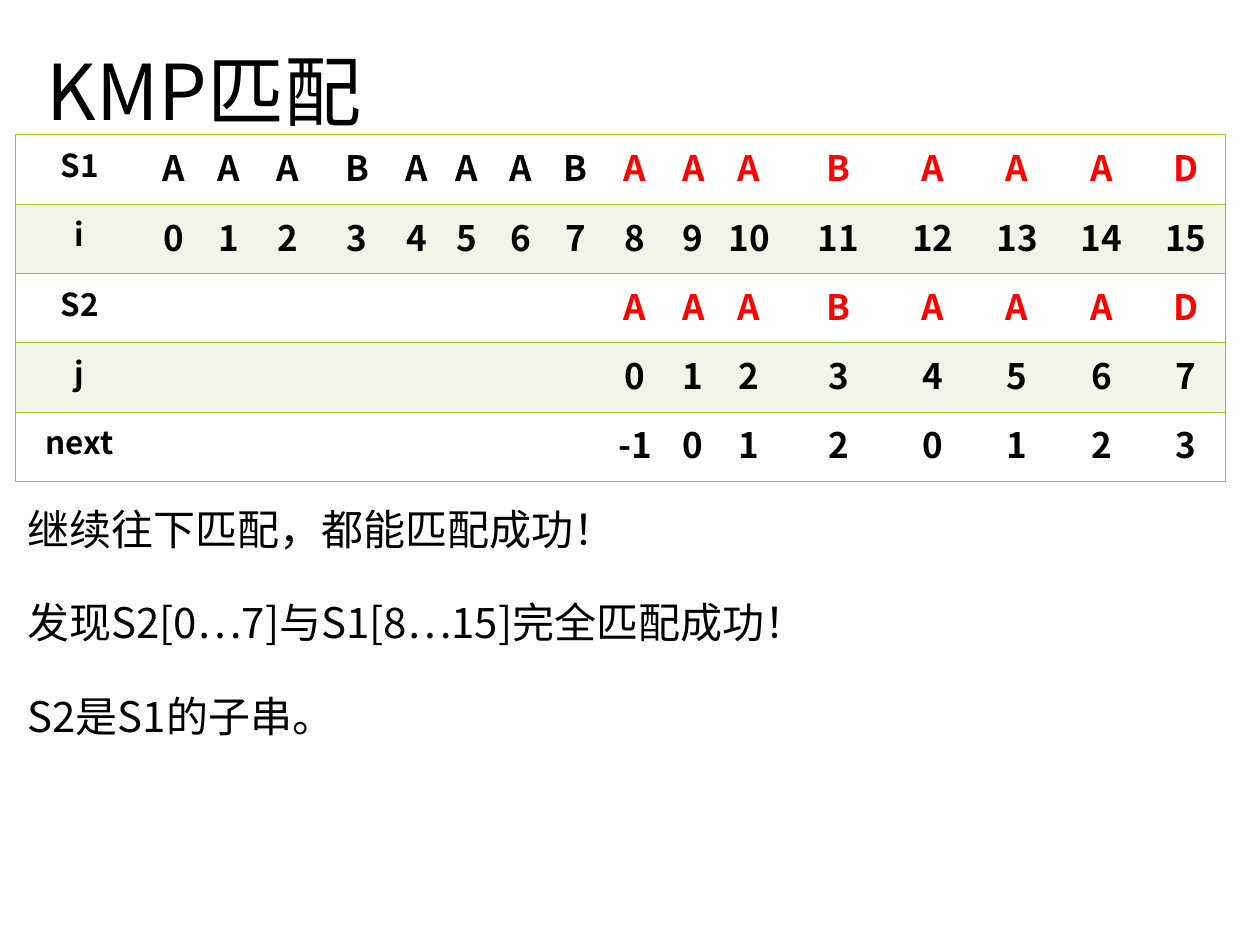
from dataclasses import dataclass

import pptx
import pptx.dml.color
import pptx.enum.text
import pptx.oxml
import pptx.oxml.ns
import pptx.util

FONT = "Noto Sans CJK SC"
BLACK, RED, WHITE = "000000", "FF0000", "FFFFFF"
BAND, BORDER = "F0F5E8", "A2C722"
MATCH_START = 8
POINTS_PER_MM = 72 / 25.4
COLUMNS_MM = [26, 12, 10, 14, 14, 10, 10, 12, 10, 14, 8, 16, 20, 18, 16, 18, 16]
ROW_HEIGHT = 39.6


@dataclass
class Box:
    left: float
    top: float
    width: float
    height: float

    def lengths(self) -> list[int]:
        return [pptx.util.Pt(value) for value in (self.left, self.top, self.width, self.height)]


@dataclass
class TableRow:
    label: str
    values: list[str]
    match_color: str = BLACK
    first_position: int = MATCH_START


@dataclass
class Line:
    text: str
    spacing: float
    space_before: float


TITLE_BOX = Box(19.4, 2.2, 620.6, 104.4)
TABLE_BOX = Box(8.6, 77, sum(COLUMNS_MM) * POINTS_PER_MM, 5 * ROW_HEIGHT)
BODY_BOX = Box(8.6, 287.3, 692, 177.8)

ROWS = [
    TableRow("S1", list("AAABAAABAAABAAAD"), RED, 0),
    TableRow("i", [str(index) for index in range(16)], BLACK, 0),
    TableRow("S2", list("AAABAAAD"), RED),
    TableRow("j", [str(index) for index in range(8)]),
    TableRow("next", ["-1", "0", "1", "2", "0", "1", "2", "3"]),
]
BODY_LINES = [
    Line("继续往下匹配，都能匹配成功！", 0.9, 0),
    Line("发现S2[0…7]与S1[8…15]完全匹配成功！", 1.5, 10),
    Line("S2是S1的子串。", 1.5, 10),
]


def rgb(value: str) -> pptx.dml.color.RGBColor:
    return pptx.dml.color.RGBColor.from_string(value)


def set_attributes(target, values: dict) -> None:
    for name, value in values.items():
        setattr(target, name, value)


def write_text(paragraph, text: str, size: float, color: str = BLACK, bold: bool = False, **layout) -> None:
    set_attributes(paragraph, layout)
    run = paragraph.add_run()
    run.text = text
    set_attributes(run.font, {"name": FONT, "size": pptx.util.Pt(size), "bold": bold})
    run.font.color.rgb = rgb(color)
    east_asian = pptx.oxml.parse_xml(
        f'<a:ea {pptx.oxml.ns.nsdecls("a")} typeface="{FONT}"/>')
    run.font._element.find(pptx.oxml.ns.qn("a:latin")).addnext(east_asian)


def set_borders(cell, visible_sides: str) -> None:
    properties = cell._tc.get_or_add_tcPr()
    width = pptx.util.Pt(0.45)
    for index, side in enumerate("LRTB"):
        paint = "<a:noFill/>"
        if side in visible_sides:
            paint = f'<a:solidFill><a:srgbClr val="{BORDER}"/></a:solidFill>'
        line = f'<a:ln{side} {pptx.oxml.ns.nsdecls("a")} w="{width}">{paint}</a:ln{side}>'
        properties.insert(index, pptx.oxml.parse_xml(line))


def add_title(slide) -> None:
    title = slide.shapes.title
    set_attributes(title, dict(zip(("left", "top", "width", "height"), TITLE_BOX.lengths())))
    set_attributes(title.text_frame, {
        "word_wrap": True,
        "auto_size": pptx.enum.text.MSO_AUTO_SIZE.NONE,
        "vertical_anchor": pptx.enum.text.MSO_ANCHOR.MIDDLE,
    })
    write_text(title.text_frame.paragraphs[0], "KMP匹配", 44,
               alignment=pptx.enum.text.PP_ALIGN.LEFT, line_spacing=0.9)


def add_match_table(slide, rows: list[TableRow]) -> None:
    table = slide.shapes.add_table(len(rows), len(COLUMNS_MM), *TABLE_BOX.lengths()).table
    set_attributes(table, {"first_row": False, "horz_banding": False})
    for column, width in zip(table.columns, COLUMNS_MM):
        column.width = pptx.util.Pt(width * POINTS_PER_MM)
    last_column = len(COLUMNS_MM) - 1
    for row_index, row in enumerate(rows):
        table.rows[row_index].height = pptx.util.Pt(ROW_HEIGHT)
        texts = [row.label] + [""] * row.first_position + row.values
        for column_index, text in enumerate(texts):
            cell = table.cell(row_index, column_index)
            cell.fill.solid()
            cell.fill.fore_color.rgb = rgb(BAND if row_index % 2 else WHITE)
            set_borders(cell, "TB" + {0: "L", last_column: "R"}.get(column_index, ""))
            if text:
                write_text(cell.text_frame.paragraphs[0], text,
                           20 if column_index else 18,
                           row.match_color if column_index > MATCH_START else BLACK,
                           True, alignment=pptx.enum.text.PP_ALIGN.CENTER)


def add_body(slide, lines: list[Line]) -> None:
    frame = slide.shapes.add_textbox(*BODY_BOX.lengths()).text_frame
    frame.word_wrap = True
    for index, line in enumerate(lines):
        paragraph = frame.add_paragraph() if index else frame.paragraphs[0]
        write_text(paragraph, line.text, 24, line_spacing=line.spacing,
                   space_before=pptx.util.Pt(line.space_before))


def main() -> None:
    presentation = pptx.Presentation()
    set_attributes(presentation, {"slide_width": pptx.util.Pt(720), "slide_height": pptx.util.Pt(540)})
    slide = presentation.slides.add_slide(presentation.slide_layouts[5])
    add_title(slide)
    add_body(slide, BODY_LINES)
    add_match_table(slide, ROWS)
    presentation.save("out.pptx")


if __name__ == "__main__":
    main()
